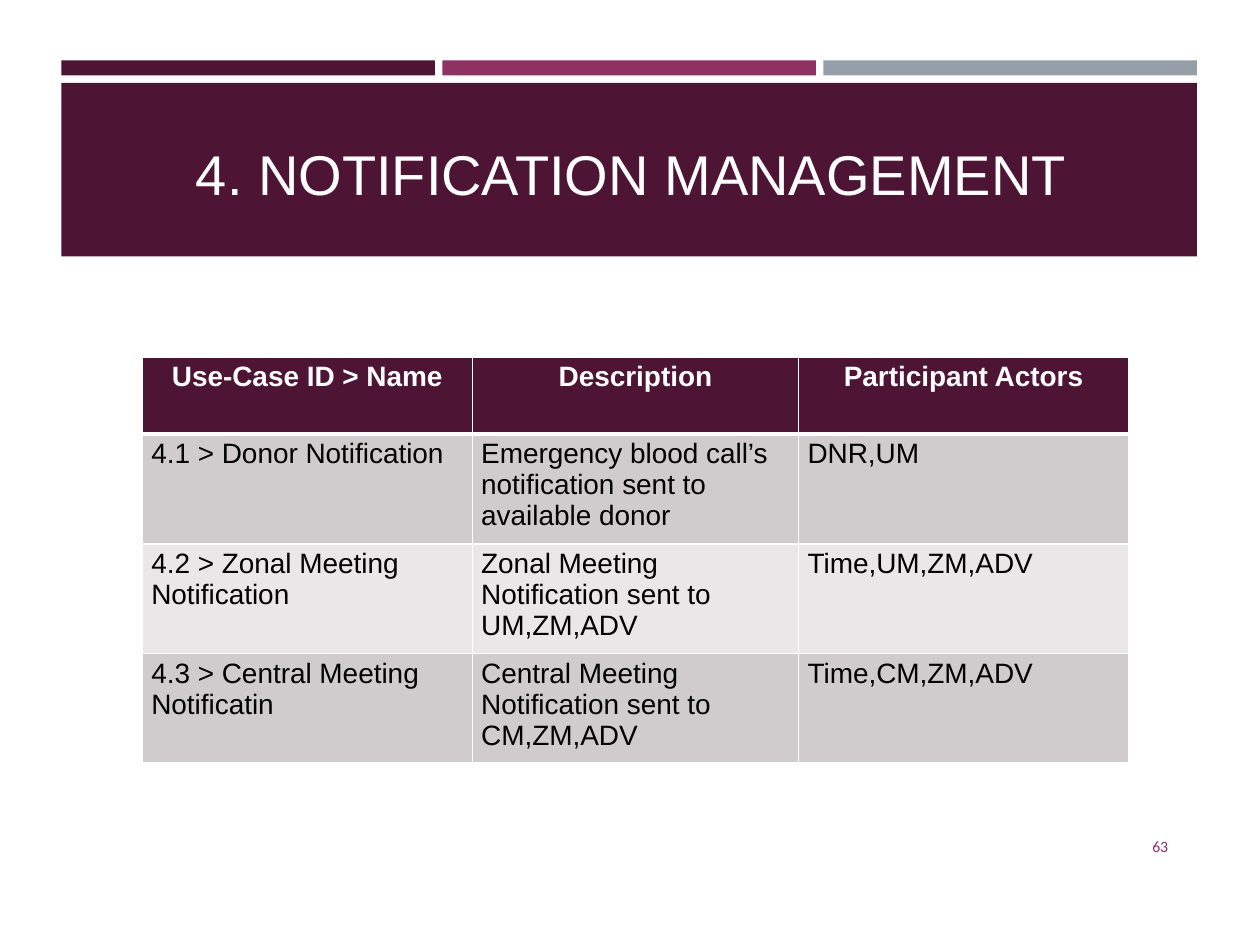
from dataclasses import dataclass

from lxml import etree
from pptx import Presentation
from pptx.dml.color import RGBColor
from pptx.enum.shapes import MSO_SHAPE
from pptx.enum.text import MSO_ANCHOR, MSO_AUTO_SIZE, PP_ALIGN
from pptx.oxml.ns import qn
from pptx.util import Cm, Pt

RECTANGLE = MSO_SHAPE.RECTANGLE
LEFT, CENTER, RIGHT = PP_ALIGN.LEFT, PP_ALIGN.CENTER, PP_ALIGN.RIGHT
TOP, MIDDLE, BOTTOM = MSO_ANCHOR.TOP, MSO_ANCHOR.MIDDLE, MSO_ANCHOR.BOTTOM
NO_AUTOFIT = MSO_AUTO_SIZE.NONE
TITLE_ONLY = 5


@dataclass(frozen=True)
class Theme:
    plum: str = "4D1434"
    magenta: str = "903163"
    slate: str = "969FA7"
    white: str = "FFFFFF"
    black: str = "000000"
    odd_row: str = "D0CCCE"
    even_row: str = "E9E7E8"
    body_font: str = "Arial"
    number_font: str = "Calibri"
    title_size: int = 32
    table_size: int = 16
    number_size: int = 9


THEME = Theme()

BAND_LEFT, BAND_WIDTH = 1.24, 22.89
STRIPE_GAP = 0.15

HEADINGS = ("Use-Case ID > Name", "Description", "Participant Actors")
USE_CASES = (
    ("4.1 > Donor Notification",
     "Emergency blood call’s notification sent to available donor", "DNR,UM"),
    ("4.2 > Zonal Meeting Notification",
     "Zonal Meeting Notification sent to UM,ZM,ADV", "Time,UM,ZM,ADV"),
    ("4.3 > Central Meeting Notificatin",
     "Central Meeting Notification sent to CM,ZM,ADV", "Time,CM,ZM,ADV"),
)
COLUMN_WIDTHS = (6.65, 6.58, 6.65)
ROW_HEIGHTS = (1.55, 2.07, 2.07, 2.07)


def write(frame, text, *, size, color, font=THEME.body_font, bold=False, align=LEFT):
    frame.word_wrap = True
    paragraph = frame.paragraphs[0]
    paragraph.alignment = align
    run = paragraph.add_run()
    run.text = text
    run.font.name = font
    run.font.size = Pt(size)
    run.font.bold = bold
    run.font.color.rgb = RGBColor.from_string(color)


def add_block(slide, left, top, width, height, color):
    block = slide.shapes.add_shape(RECTANGLE, Cm(left), Cm(top), Cm(width), Cm(height))
    block.shadow.inherit = False
    block.fill.solid()
    block.fill.fore_color.rgb = RGBColor.from_string(color)
    block.line.fill.background()


def add_banner(slide):
    """Three equal stripes above the title band."""
    colors = (THEME.plum, THEME.magenta, THEME.slate)
    width = (BAND_WIDTH - STRIPE_GAP * (len(colors) - 1)) / len(colors)
    for index, color in enumerate(colors):
        left = BAND_LEFT + index * (width + STRIPE_GAP)
        add_block(slide, left, 1.22, width, 0.3, color)
    add_block(slide, BAND_LEFT, 1.67, BAND_WIDTH, 3.5, THEME.plum)


def place_title(slide, text):
    title = slide.shapes.title
    title.left, title.top, title.width, title.height = Cm(1.63), Cm(2.54), Cm(22.2), Cm(1.75)
    frame = title.text_frame
    frame.auto_size = NO_AUTOFIT
    frame.vertical_anchor = BOTTOM
    write(frame, text, size=THEME.title_size, color=THEME.white, align=CENTER)
    # Bring the title in front of its band.
    slide.shapes._spTree.append(title._element)


def set_borders(cell, bottom_width):
    properties = cell._tc.get_or_add_tcPr()
    widths = {"a:lnL": 1, "a:lnR": 1, "a:lnT": 1, "a:lnB": bottom_width}
    for position, (side, width) in enumerate(widths.items()):
        line = etree.Element(qn(side), w=str(Pt(width)))
        fill = etree.SubElement(line, qn("a:solidFill"))
        etree.SubElement(fill, qn("a:srgbClr"), val=THEME.white)
        properties.insert(position, line)


def fill_cell(cell, text, background, bottom_width=1, **text_format):
    cell.margin_left = cell.margin_right = Cm(0.18)
    cell.margin_top = cell.margin_bottom = Cm(0.09)
    cell.vertical_anchor = TOP
    cell.fill.solid()
    cell.fill.fore_color.rgb = RGBColor.from_string(background)
    set_borders(cell, bottom_width)
    write(cell.text_frame, text, size=THEME.table_size, **text_format)


def add_use_case_table(slide):
    table = slide.shapes.add_table(
        len(ROW_HEIGHTS), len(COLUMN_WIDTHS), Cm(2.87), Cm(7.2),
        Cm(sum(COLUMN_WIDTHS)), Cm(sum(ROW_HEIGHTS))).table
    for column, width in zip(table.columns, COLUMN_WIDTHS):
        column.width = Cm(width)
    for row, height in zip(table.rows, ROW_HEIGHTS):
        row.height = Cm(height)
    for column, heading in enumerate(HEADINGS):
        fill_cell(table.cell(0, column), heading, THEME.plum, bottom_width=3,
                  color=THEME.white, bold=True, align=CENTER)
    for row, use_case in enumerate(USE_CASES, start=1):
        background = THEME.odd_row if row % 2 else THEME.even_row
        for column, text in enumerate(use_case):
            fill_cell(table.cell(row, column), text, background,
                      bottom_width=1, color=THEME.black)


def add_page_number(slide, number):
    box = slide.shapes.add_textbox(Cm(21.67), Cm(16.54), Cm(2.13), Cm(1.02))
    box.text_frame.vertical_anchor = MIDDLE
    write(box.text_frame, number, size=THEME.number_size, color=THEME.magenta,
          font=THEME.number_font, align=RIGHT)


def main():
    presentation = Presentation()
    presentation.slide_width, presentation.slide_height = Cm(25.4), Cm(19.05)
    slide = presentation.slides.add_slide(presentation.slide_layouts[TITLE_ONLY])
    add_banner(slide)
    place_title(slide, "4. NOTIFICATION MANAGEMENT")
    add_page_number(slide, "63")
    add_use_case_table(slide)
    presentation.save("out.pptx")


if __name__ == "__main__":
    main()
